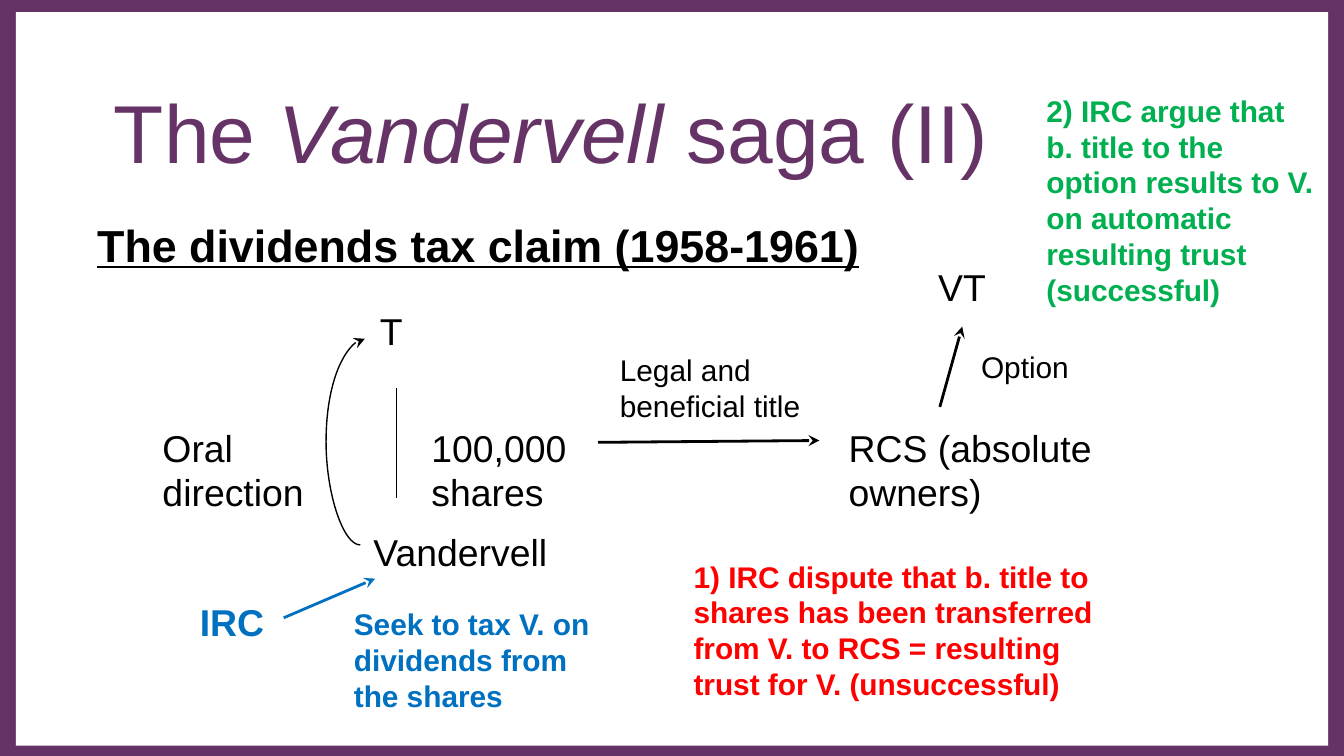
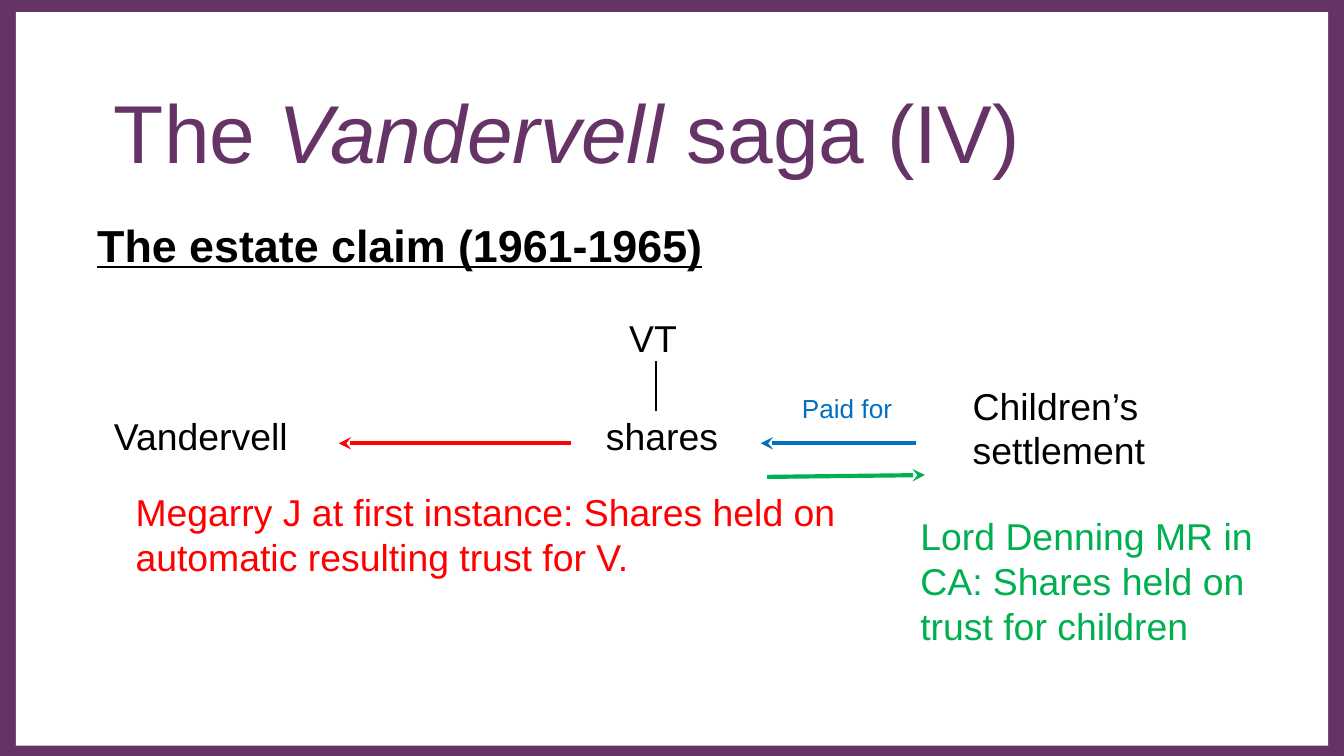
"""Build two slides that chart the Vandervell tax and estate claims."""
from lxml.etree import SubElement
from pptx import Presentation
from pptx.dml.color import RGBColor
from pptx.enum.shapes import MSO_CONNECTOR as LINK, MSO_SHAPE as SHAPE
from pptx.enum.text import MSO_ANCHOR as ANCHOR, MSO_AUTO_SIZE as FIT
from pptx.oxml.ns import qn
from pptx.util import Pt

COLORS = {
    "purple": "663366",
    "white": "FFFFFF",
    "black": "000000",
    "red": "FF0000",
    "blue": "0070C0",
    "green": "00B050",
}
FONT = "Arial"
WIDTH, HEIGHT = 720, 405


def color(name):
    return RGBColor.from_string(COLORS[name])


class Diagram:
    def __init__(self):
        self.deck = Presentation()
        self.deck.slide_width = Pt(WIDTH)
        self.deck.slide_height = Pt(HEIGHT)
        self.page = None

    def start(self, number, claim):
        self.page = self.deck.slides.add_slide(self.deck.slide_layouts[6])
        self.panel(0, 0, WIDTH, HEIGHT + 1, "purple")
        self.panel(8.5, 6.5, 703, 393, "white")
        self.title(("The ", "Vandervell", f" saga ({number})"))
        heading = self.text(claim, 45, 113, 612, size=24, bold=True)
        heading.font.underline = True

    def panel(self, left, top, width, height, fill):
        panel = self.page.shapes.add_shape(
            SHAPE.RECTANGLE, Pt(left), Pt(top), Pt(width), Pt(height))
        panel.shadow.inherit = False
        panel.fill.solid()
        panel.fill.fore_color.rgb = color(fill)
        panel.line.fill.background()

    def frame(self, left, top, width, height):
        box = self.page.shapes.add_textbox(Pt(left), Pt(top), Pt(width), Pt(height))
        box.text_frame.word_wrap = True
        return box.text_frame

    def style(self, para, size, tint, bold=False):
        para.font.name = FONT
        para.font.size = Pt(size)
        para.font.bold = bold
        para.font.color.rgb = color(tint)

    def title(self, parts):
        frame = self.frame(54, 36, 612, 68)
        frame.vertical_anchor = ANCHOR.MIDDLE
        para = frame.paragraphs[0]
        self.style(para, 44, "purple")
        for index, part in enumerate(parts):
            span = para.add_run()
            span.text = part
            span.font.italic = index == 1

    def text(self, words, left, top, width, lines=1, size=20, tint="black", bold=False):
        frame = self.frame(left, top, width, 1.2 * size * lines + 7.6)
        frame.auto_size = FIT.SHAPE_TO_FIT_TEXT
        para = frame.paragraphs[0]
        para.text = words
        self.style(para, size, tint, bold)
        return para

    def line(self, start, end, tint="black", weight=0.75, arrow=True, bend=None):
        kind = LINK.STRAIGHT if bend is None else LINK.CURVE
        link = self.page.shapes.add_connector(kind, *map(Pt, start + end))
        link.line.color.rgb = color(tint)
        link.line.width = Pt(weight)
        properties = link._element.spPr
        if arrow:
            SubElement(link.line._get_or_add_ln(), qn("a:tailEnd"), type="stealth")
        if bend is not None:
            guides = properties.find(qn("a:prstGeom")).find(qn("a:avLst"))
            SubElement(guides, qn("a:gd"), name="adj1", fmla=f"val {bend}")
        SubElement(properties, qn("a:effectLst"))


def dividends_claim(diagram):
    diagram.start("II", "The dividends tax claim (1958-1961)")
    diagram.text("T", 196.5, 161.5, 91)
    diagram.text("Vandervell", 193, 280, 116)
    diagram.text("100,000 shares", 224, 224, 148, lines=2)
    diagram.text("Oral direction", 80, 224, 103, lines=2)
    diagram.text("RCS (absolute owners)", 447.5, 224, 148, lines=2)
    diagram.text("VT", 495.5, 138, 52)
    diagram.text("Legal and beneficial title", 325, 185, 155, lines=2, size=16)
    diagram.text("Option", 518.5, 183.5, 148, size=16)
    diagram.text("IRC", 100, 317.5, 91, tint="blue", bold=True)
    diagram.text("Seek to tax V. on dividends from the shares",
                 182.5, 321, 143, lines=3, size=16, tint="blue", bold=True)
    diagram.text("1) IRC dispute that b. title to shares has been transferred "
                 "from V. to RCS = resulting trust for V. (unsuccessful)",
                 364.5, 295.5, 230, lines=4, size=16, tint="red", bold=True)
    diagram.text("2) IRC argue that b. title to the option results to V. "
                 "on automatic resulting trust (successful)",
                 553.5, 46, 159, lines=6, size=16, tint="green", bold=True)
    diagram.line((212.5, 208), (212.5, 267), arrow=False)
    diagram.line((193, 292), (195.5, 181.5), bend=-734500)
    diagram.line((320.5, 237), (439, 236), weight=1.5)
    diagram.line((503.5, 218), (515.5, 175), weight=1.5)
    diagram.line((152, 331), (201, 310), "blue", 1.5)


def estate_claim(diagram):
    diagram.start("IV", "The estate claim (1961-1965)")
    diagram.text("Vandervell", 54, 218, 116)
    diagram.text("VT", 330, 165.5, 44)
    diagram.text("shares", 317.5, 218, 148)
    diagram.text("Children’s settlement", 514, 201.5, 173, lines=2)
    diagram.text("Paid for", 422.5, 206.5, 148, size=14, tint="blue")
    diagram.text("Megarry J at first instance: Shares held on automatic "
                 "resulting trust for V.", 65.5, 258.5, 414, lines=2, tint="red")
    diagram.text("Lord Denning MR in CA: Shares held on trust for children",
                 486, 271.5, 208, lines=3, tint="green")
    diagram.line((351.5, 193.5), (351.5, 220), arrow=False)
    diagram.line((490.5, 237.5), (407.5, 237.5), "blue", 2.25)
    diagram.line((306, 237.5), (181.5, 237.5), "red", 2.25)
    diagram.line((411, 255.5), (495.5, 254.5), "green", 2.25)


def main():
    diagram = Diagram()
    dividends_claim(diagram)
    estate_claim(diagram)
    diagram.deck.save("out.pptx")


if __name__ == "__main__":
    main()
